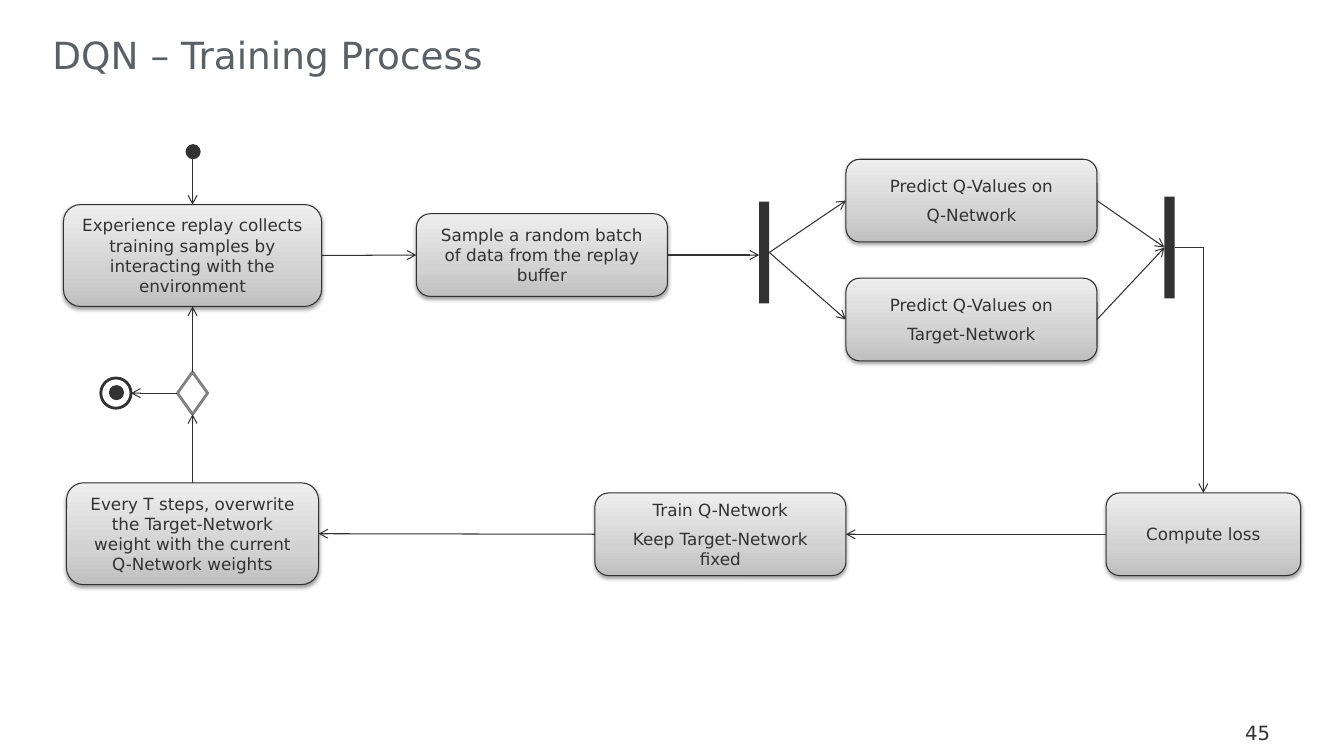
"""Build the DQN training process slide as an activity diagram."""
from pptx import Presentation
from pptx.dml.color import RGBColor
from pptx.enum.shapes import MSO_CONNECTOR, MSO_SHAPE
from pptx.enum.text import MSO_ANCHOR, MSO_AUTO_SIZE, PP_ALIGN
from pptx.oxml import parse_xml
from pptx.oxml.ns import nsdecls, qn
from pptx.util import Pt

PX = 9144
FONT = "DejaVu Sans"
INK = RGBColor(0x32, 0x32, 0x32)
BOX_LINE = RGBColor(0x31, 0x31, 0x31)
TITLE_GRAY = RGBColor(0x5A, 0x61, 0x66)
DIAMOND_GRAY = RGBColor(0x80, 0x80, 0x80)
WHITE = RGBColor(0xFF, 0xFF, 0xFF)
ROUNDED, RECTANGLE = MSO_SHAPE.ROUNDED_RECTANGLE, MSO_SHAPE.RECTANGLE
OVAL, DIAMOND = MSO_SHAPE.OVAL, MSO_SHAPE.DIAMOND
STRAIGHT, ELBOW = MSO_CONNECTOR.STRAIGHT, MSO_CONNECTOR.ELBOW
TOP, LEFT, BOTTOM, RIGHT = range(4)

GRADIENT_STOPS = ((0, "BFBFBF"), (35000, "D2D2D2"), (100000, "EEEEEE"))
SHADOW = (
    f'<a:outerShdw {nsdecls("a")} blurRad="39370" dist="20320" dir="5400000" rotWithShape="0">'
    '<a:srgbClr val="000000"><a:alpha val="38000"/></a:srgbClr></a:outerShdw>'
)


def add_node(parent, kind, bounds, fill, line=None, width=0):
    """Add a shape without shadow; a fill of None leaves the fill to the caller."""
    shape = parent.add_shape(kind, *(value * PX for value in bounds))
    shape.shadow.inherit = False
    if fill is not None:
        shape.fill.solid()
        shape.fill.fore_color.rgb = fill
    if line is None:
        shape.line.fill.background()
    else:
        shape.line.color.rgb = line
        shape.line.width = Pt(width)
    return shape


def write_text(shape, lines, size, color, align, frame_format):
    """Write the lines as paragraphs and format the text frame."""
    frame = shape.text_frame
    for name, value in frame_format.items():
        setattr(frame, name, value)
    frame.text = "\n".join(lines)
    for index, paragraph in enumerate(frame.paragraphs):
        paragraph.alignment = align
        if index:
            paragraph.space_before = Pt(6)
        paragraph.font.name = FONT
        paragraph.font.size = Pt(size)
        paragraph.font.color.rgb = color


presentation = Presentation()
presentation.slide_width, presentation.slide_height = 1333 * PX, 750 * PX
slide = presentation.slides.add_slide(presentation.slide_layouts[5])
shapes = slide.shapes

title = shapes.title
title.left, title.top, title.width, title.height = (value * PX for value in (52, 16, 1003, 61))
write_text(title, ["DQN – Training Process"], 26.7, TITLE_GRAY, PP_ALIGN.LEFT, {
    "margin_left": 0, "margin_top": 16 * PX, "margin_right": 0, "margin_bottom": 0,
    "vertical_anchor": MSO_ANCHOR.TOP, "word_wrap": True, "auto_size": MSO_AUTO_SIZE.NONE,
})

page_number = shapes.add_textbox(*(value * PX for value in (1223, 709, 84, 29)))
write_text(page_number, ["45"], 14, INK, PP_ALIGN.LEFT, {
    "margin_left": 12 * PX, "margin_top": 0, "margin_right": 0, "margin_bottom": 0,
    "vertical_anchor": MSO_ANCHOR.BOTTOM, "word_wrap": True,
})

BOX_FORMAT = {
    "margin_left": 12 * PX, "margin_top": 8 * PX, "margin_right": 12 * PX, "margin_bottom": 8 * PX,
    "vertical_anchor": MSO_ANCHOR.MIDDLE, "word_wrap": True,
}
BOXES = {
    "collect": ((63, 203, 256, 101),
                ["Experience replay collects training samples by interacting with the environment"]),
    "sample": ((413, 212, 249, 82), ["Sample a random batch of data from the replay buffer"]),
    "loss": ((1097, 489, 193, 82), ["Compute loss"]),
    "train": ((590, 489, 249, 82), ["Train Q-Network", "Keep Target-Network fixed"]),
    "overwrite": ((66, 479, 250, 101),
                  ["Every T steps, overwrite the Target-Network weight with the current Q-Network weights"]),
    "predict": ((839, 158, 249, 82), ["Predict Q-Values on", "Q-Network"]),
    "predict_target": ((839, 276, 249, 82), ["Predict Q-Values on", "Target-Network"]),
}
nodes = {}
for name, (bounds, lines) in BOXES.items():
    box = add_node(shapes, ROUNDED, bounds, None, BOX_LINE, 0.75)
    box.fill.gradient()
    box.fill.gradient_angle = 90
    properties = box._element.spPr
    stop_list = properties.find(qn("a:gradFill")).find(qn("a:gsLst"))
    for stop in list(stop_list):
        stop_list.remove(stop)
    for position, color in GRADIENT_STOPS:
        stop_list.append(parse_xml(
            f'<a:gs {nsdecls("a")} pos="{position}"><a:srgbClr val="{color}"/></a:gs>'))
    properties.find(qn("a:effectLst")).append(parse_xml(SHADOW))
    write_text(box, lines, 12, INK, PP_ALIGN.CENTER, BOX_FORMAT)
    nodes[name] = box

nodes["fork"] = add_node(shapes, RECTANGLE, (753, 200, 10, 101), INK)
nodes["join"] = add_node(shapes, RECTANGLE, (1155, 195, 10, 101), INK)
nodes["decision"] = add_node(shapes, DIAMOND, (176, 369, 30, 42), WHITE, DIAMOND_GRAY, 2)
add_node(shapes, OVAL, (184, 143, 15, 15), INK)
end_node = shapes.add_group_shape()
add_node(end_node.shapes, OVAL, (100, 375, 30, 30), WHITE, INK, 2)
add_node(end_node.shapes, OVAL, (108, 382, 15, 15), INK)

FLOWS = [
    ((191, 158), ("collect", TOP)),
    (("collect", RIGHT), ("sample", LEFT)),
    (("sample", RIGHT), (753, 253)),
    (("fork", RIGHT), ("predict", LEFT)),
    (("fork", RIGHT), ("predict_target", LEFT)),
    (("predict", RIGHT), ("join", LEFT)),
    (("predict_target", RIGHT), ("join", LEFT)),
    (("join", RIGHT), ("loss", TOP)),
    (("loss", LEFT), ("train", RIGHT)),
    (("train", LEFT), ("overwrite", RIGHT)),
    (("overwrite", TOP), ("decision", BOTTOM)),
    (("decision", TOP), ("collect", BOTTOM)),
    (("decision", LEFT), (130, 390)),
]
for start, end in FLOWS:
    bent = end == ("loss", TOP)
    points = [value * PX for point in (start, end)
              for value in ((0, 0) if point[0] in nodes else point)]
    connector = shapes.add_connector(ELBOW if bent else STRAIGHT, *points)
    if start[0] in nodes:
        connector.begin_connect(nodes[start[0]], start[1])
    if end[0] in nodes:
        connector.end_connect(nodes[end[0]], end[1])
    connector.line.color.rgb = INK
    connector.line.width = Pt(0.75)
    properties = connector._element.spPr
    if bent:
        properties.find(qn("a:prstGeom")).set("prst", "bentConnector2")
    properties.find(qn("a:ln")).append(parse_xml(f'<a:tailEnd {nsdecls("a")} type="arrow"/>'))
    properties.append(parse_xml(f'<a:effectLst {nsdecls("a")}/>'))

presentation.save("out.pptx")
